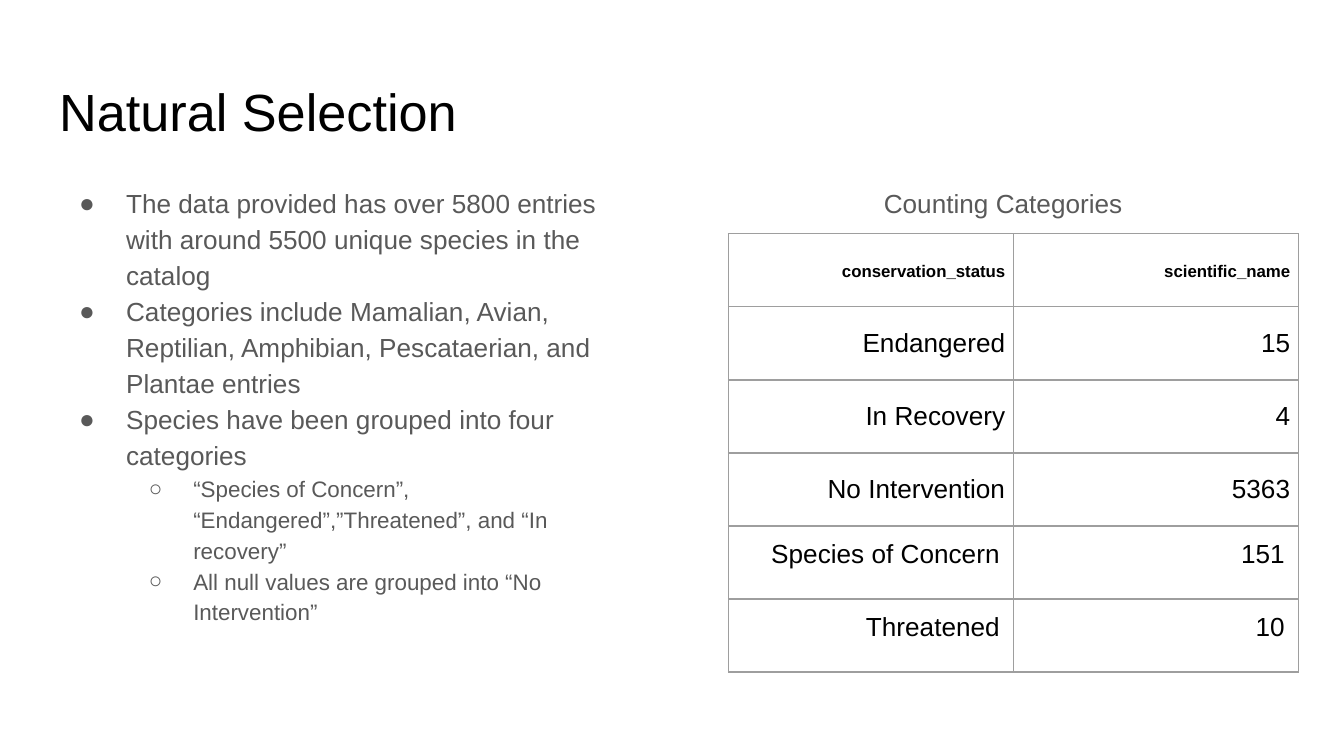
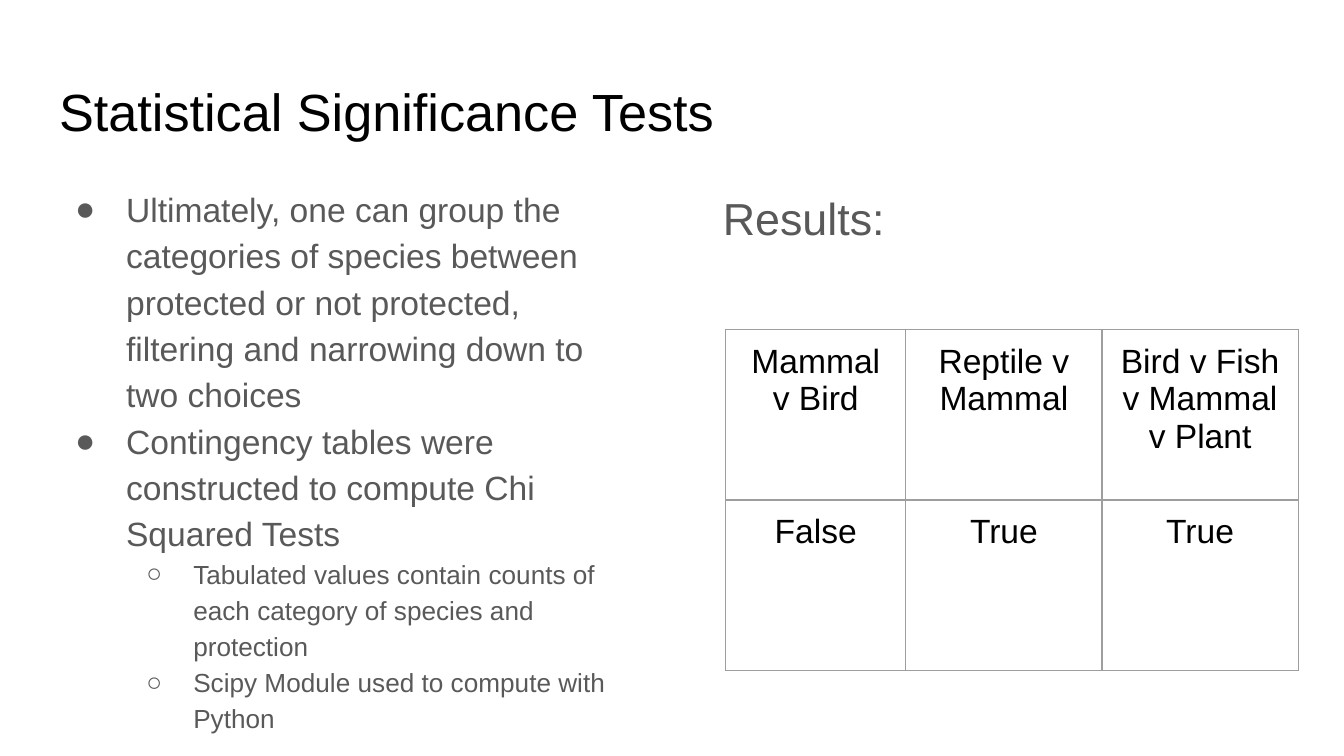
from lxml import etree
from pptx import Presentation
from pptx.dml.color import RGBColor
from pptx.enum.text import MSO_ANCHOR as Anchor, MSO_AUTO_SIZE as AutoSize, PP_ALIGN as Align
from pptx.oxml.ns import qn
from pptx.util import Inches, Pt

FONT = "Arial"
BLACK, GREY, BORDER = "000000", "595959", "9E9E9E"
SLIDE_WIDTH = 10
SLIDE_HEIGHT = SLIDE_WIDTH * 9 / 16
TITLE_BOX = (0.34, 0.49, 9.32, 0.63)
LEFT_BOX = (0.34, 1.26, 4.37, 3.74)
RIGHT_BOX = (5.28, 1.26, 4.37, 3.74)
BULLETS = ("●", "○")
MARGIN = 0.1
TIGHT_MARGIN = 0.06


def color(hex_value):
    return RGBColor.from_string(hex_value)


def set_margins(target, margin):
    for side in ("left", "top", "right", "bottom"):
        setattr(target, f"margin_{side}", Inches(margin))


def write(paragraph, text, size, text_color, bold=False, **paragraph_format):
    run = paragraph.add_run()
    run.text = text
    run.font.color.rgb = color(text_color)
    for name, value in {"name": FONT, "size": Pt(size), "bold": bold}.items():
        setattr(run.font, name, value)
    for name, value in paragraph_format.items():
        setattr(paragraph, name, value)


def prepare_frame(shape):
    frame = shape.text_frame
    settings = {"word_wrap": True, "auto_size": AutoSize.NONE, "vertical_anchor": Anchor.TOP}
    for name, value in settings.items():
        setattr(frame, name, value)
    set_margins(frame, MARGIN)
    return frame


def add_titled_slide(presentation, title):
    slide = presentation.slides.add_slide(presentation.slide_layouts[5])
    shape = slide.shapes.title
    for name, value in zip(("left", "top", "width", "height"), TITLE_BOX):
        setattr(shape, name, Inches(value))
    write(prepare_frame(shape).paragraphs[0], title, 28, BLACK, alignment=Align.LEFT)
    return slide


def add_text_frame(slide, box):
    return prepare_frame(slide.shapes.add_textbox(*map(Inches, box)))


def add_caption(slide, text, size, **paragraph_format):
    paragraph = add_text_frame(slide, RIGHT_BOX).paragraphs[0]
    write(paragraph, text, size, GREY, line_spacing=1.15, **paragraph_format)


def set_bullet(paragraph, level, hanging):
    paragraph.level = level
    properties = paragraph._p.get_or_add_pPr()
    properties.set("marL", str(Inches(0.5 * (level + 1))))
    properties.set("indent", str(-Inches(hanging)))
    bullet_color = etree.SubElement(properties, qn("a:buClr"))
    etree.SubElement(bullet_color, qn("a:srgbClr"), val=GREY)
    etree.SubElement(properties, qn("a:buFont"), typeface=FONT)
    etree.SubElement(properties, qn("a:buChar"), char=BULLETS[level])


def add_bullets(slide, items, level_styles):
    """Write (level, text) items; level_styles holds (size, hanging) per level."""
    frame = add_text_frame(slide, LEFT_BOX)
    for index, (level, text) in enumerate(items):
        paragraph = frame.add_paragraph() if index else frame.paragraphs[0]
        size, hanging = level_styles[level]
        write(paragraph, text, size, GREY, line_spacing=1.15)
        set_bullet(paragraph, level, hanging)


def set_borders(cell):
    properties = cell._tc.get_or_add_tcPr()
    for position, side in enumerate(("lnL", "lnR", "lnT", "lnB")):
        line = etree.Element(qn(f"a:{side}"), w=str(Pt(0.75)))
        fill = etree.SubElement(line, qn("a:solidFill"))
        etree.SubElement(fill, qn("a:srgbClr"), val=BORDER)
        properties.insert(position, line)


def add_table(slide, left, top, column_widths, height, row_count):
    frame = slide.shapes.add_table(
        row_count, len(column_widths),
        *map(Inches, (left, top, sum(column_widths), height)))
    table = frame.table
    table.first_row = table.horz_banding = False
    for column, width in zip(table.columns, column_widths):
        column.width = Inches(width)
    for row in table.rows:
        row.height = Inches(height / row_count)
    return table


def fill_row(table, row, texts, size, margin=MARGIN, anchor=Anchor.TOP, **text_format):
    for column, text in enumerate(texts):
        cell = table.cell(row, column)
        cell.fill.background()
        cell.vertical_anchor = anchor
        set_margins(cell, margin)
        set_borders(cell)
        write(cell.text_frame.paragraphs[0], text, size, BLACK, **text_format)


def build_natural_selection(presentation):
    slide = add_titled_slide(presentation, "Natural Selection")
    add_bullets(slide, [
        (0, "The data provided has over 5800 entries with around 5500 unique species in the catalog"),
        (0, "Categories include Mamalian, Avian, Reptilian, Amphibian, Pescataerian, and Plantae entries"),
        (0, "Species have been grouped into four categories"),
        (1, "“Species of Concern”, “Endangered”,”Threatened”, and “In recovery”"),
        (1, "All null values are grouped into “No Intervention”"),
    ], [(14, 0.35), (12, 0.33)])
    add_caption(slide, "Counting Categories", 14, alignment=Align.CENTER)

    middle_rows = [("Endangered", "15"), ("In Recovery", "4"), ("No Intervention", "5363")]
    top_rows = [("Species of Concern", "151"), ("Threatened", "10")]
    table = add_table(slide, 5.42, 1.74, [2.12, 2.12], 3.26, 6)
    middle = {"margin": TIGHT_MARGIN, "anchor": Anchor.MIDDLE}
    fill_row(table, 0, ("conservation_status", "scientific_name"), 9, **middle,
             bold=True, alignment=Align.RIGHT, line_spacing=1.15, space_before=Pt(9))
    for row, texts in enumerate(middle_rows + top_rows, start=1):
        placement = middle if texts in middle_rows else {}
        fill_row(table, row, texts, 14, alignment=Align.RIGHT, **placement)


def build_significance_tests(presentation):
    slide = add_titled_slide(presentation, "Statistical Significance Tests")
    add_bullets(slide, [
        (0, "Ultimately, one can group the categories of species between protected or not protected, "
            "filtering and narrowing down to two choices"),
        (0, "Contingency tables were constructed to compute Chi Squared Tests"),
        (1, "Tabulated values contain counts of each category of species and protection"),
        (1, "Scipy Module used to compute with Python"),
    ], [(18, 0.38), (14, 0.35)])
    add_caption(slide, "Results:", 24, alignment=Align.LEFT, space_after=Pt(16))

    results = [
        ("Mammal v Bird", "Reptile v Mammal", "Bird v Fish v Mammal v Plant"),
        ("False", "True", "True"),
    ]
    table = add_table(slide, 5.4, 2.45, [1.34, 1.46, 1.46], 2.54, len(results))
    for row, texts in enumerate(results):
        fill_row(table, row, texts, 18, alignment=Align.CENTER)


def main():
    presentation = Presentation()
    presentation.slide_width = Inches(SLIDE_WIDTH)
    presentation.slide_height = Inches(SLIDE_HEIGHT)
    build_natural_selection(presentation)
    build_significance_tests(presentation)
    presentation.save("out.pptx")


if __name__ == "__main__":
    main()
